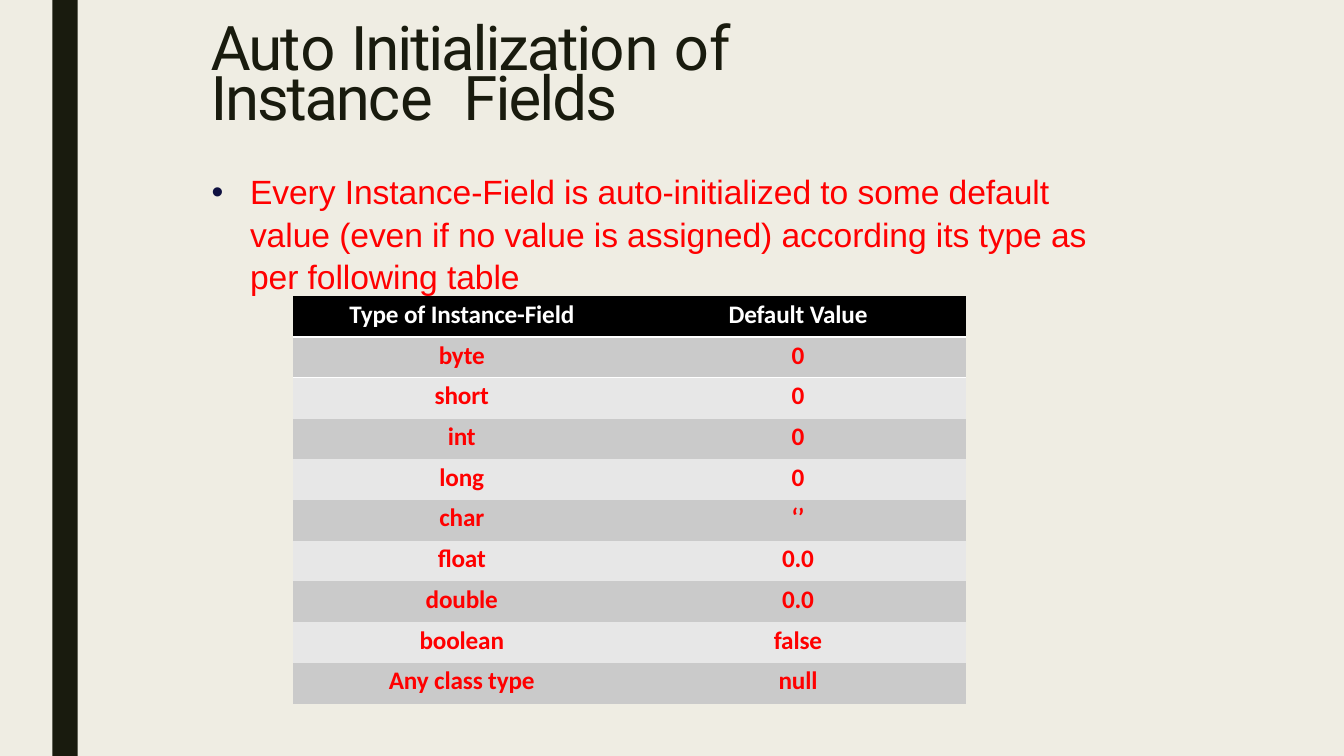
import pptx
import pptx.util
import pptx.dml.color
import pptx.enum.shapes
import pptx.enum.text
from dataclasses import dataclass
from lxml import etree

Inches = pptx.util.Inches
Pt = pptx.util.Pt
NS = "http://schemas.openxmlformats.org/drawingml/2006/main"


@dataclass
class Theme:
    back: str = "EFEDE3"
    dark: str = "191B0E"
    red: str = "FF0000"
    white: str = "FFFFFF"
    black: str = "000000"
    navy: str = "0F1141"
    bands: tuple = ("CACACA", "E7E7E7")
    title: int = 44
    body: int = 24
    cell: int = 18


def color(code):
    return pptx.dml.color.RGBColor.from_string(code)


def sub(node, tag, **attrs):
    return etree.SubElement(node, f"{{{NS}}}{tag}", **attrs)


def write(para, text, font, size, ink, bold=False, space=0):
    run = para.add_run()
    run.text = text
    run.font.name = font
    run.font.size = Pt(size)
    run.font.bold = bold
    run.font.color.rgb = color(ink)
    if space:
        run.font._element.set("spc", str(round(space * 100)))


class Deck:
    def __init__(self, theme):
        self.theme = theme
        self.show = pptx.Presentation()
        self.show.slide_width = Inches(13.33)
        self.show.slide_height = Inches(7.5)
        self.slide = self.show.slides.add_slide(self.show.slide_layouts[6])
        self.paint(self.slide.background, theme.back)

    def paint(self, item, code):
        item.fill.solid()
        item.fill.fore_color.rgb = color(code)

    def bar(self, left, top, width, height, code):
        shape = self.slide.shapes.add_shape(
            pptx.enum.shapes.MSO_SHAPE.RECTANGLE,
            Inches(left), Inches(top), Inches(width), Inches(height))
        shape.shadow.inherit = False
        self.paint(shape, code)
        shape.line.fill.background()

    def box(self, left, top, width, height, inset):
        frame = self.slide.shapes.add_textbox(
            Inches(left), Inches(top), Inches(width), Inches(height)).text_frame
        frame.word_wrap = True
        frame.margin_left = frame.margin_right = frame.margin_bottom = 0
        frame.margin_top = Inches(inset)
        return frame.paragraphs[0]

    def title(self, parts):
        para = self.box(2.09, 0.16, 6.34, 1.14, 0.16)
        para.line_spacing = Pt(36)
        for text, space in parts:
            write(para, text, "Roboto", self.theme.title, self.theme.dark, space=space)

    def bullet(self, text):
        para = self.box(2.09, 1.66, 8.74, 1.23, 0.02)
        para.line_spacing = 1.05
        props = para._p.get_or_add_pPr()
        props.set("marL", str(Inches(0.39)))
        props.set("indent", str(Inches(-0.38)))
        sub(sub(props, "buClr"), "srgbClr", val=self.theme.navy)
        sub(props, "buFont", typeface="Arial")
        sub(props, "buChar", char="•")
        write(para, text, "Arial", self.theme.body, self.theme.red, space=-0.05)

    def edges(self, cell, rules):
        props = cell._tc.get_or_add_tcPr()
        for spot, side in enumerate("LRTB"):
            width = rules.get(side, 0)
            line = etree.Element(f"{{{NS}}}ln{side}", w=str(Pt(width)))
            if width:
                sub(sub(line, "solidFill"), "srgbClr", val=self.theme.white)
            else:
                sub(line, "noFill")
            props.insert(spot, line)

    def table(self, rows, widths, rules):
        theme = self.theme
        grid = self.slide.shapes.add_table(
            len(rows), len(widths), Inches(2.91), Inches(2.94),
            Inches(sum(widths)), Inches(4.04)).table
        for col, width in zip(grid.columns, widths):
            col.width = Inches(width)
        for r, row in enumerate(rows):
            for c, text in enumerate(row):
                cell = grid.cell(r, c)
                cell.margin_left = cell.margin_bottom = 0
                cell.margin_right = Inches(0.21)
                cell.margin_top = Inches(0.03)
                self.paint(cell, theme.bands[(r - 1) % 2] if r else theme.black)
                self.edges(cell, {"T": rules.get(r - 1, 0), "B": rules.get(r, 0)})
                para = cell.text_frame.paragraphs[0]
                para.alignment = pptx.enum.text.PP_ALIGN.CENTER
                write(para, text, "Calibri", theme.cell,
                      theme.red if r else theme.white, bold=True, space=-0.1)


def main():
    deck = Deck(Theme())
    deck.bar(0.52, 0, 0.25, 7.5, deck.theme.dark)
    deck.bullet("Every Instance-Field is auto-initialized to some default value "
                "(even if no value is assigned) according its type as per following table")
    deck.title([("Aut", -1.6), ("o ", 0), ("Initializatio", -1.5), ("n ", 0),
                ("o", -1.6), ("f ", 0), ("Instanc", -1.6), ("e", 0),
                (" ", 11), ("Fields", -1.4)])
    rows = [("Type of Instance-Field", "Default Value"),
            ("byte", "0"), ("short", "0"), ("int", "0"), ("long", "0"),
            ("char", "‘’"), ("float", "0.0"), ("double", "0.0"),
            ("boolean", "false"), ("Any class type", "null")]
    deck.table(rows, (3.55, 3.12), {0: 2.25, 1: 1})
    deck.show.save("out.pptx")


if __name__ == "__main__":
    main()
